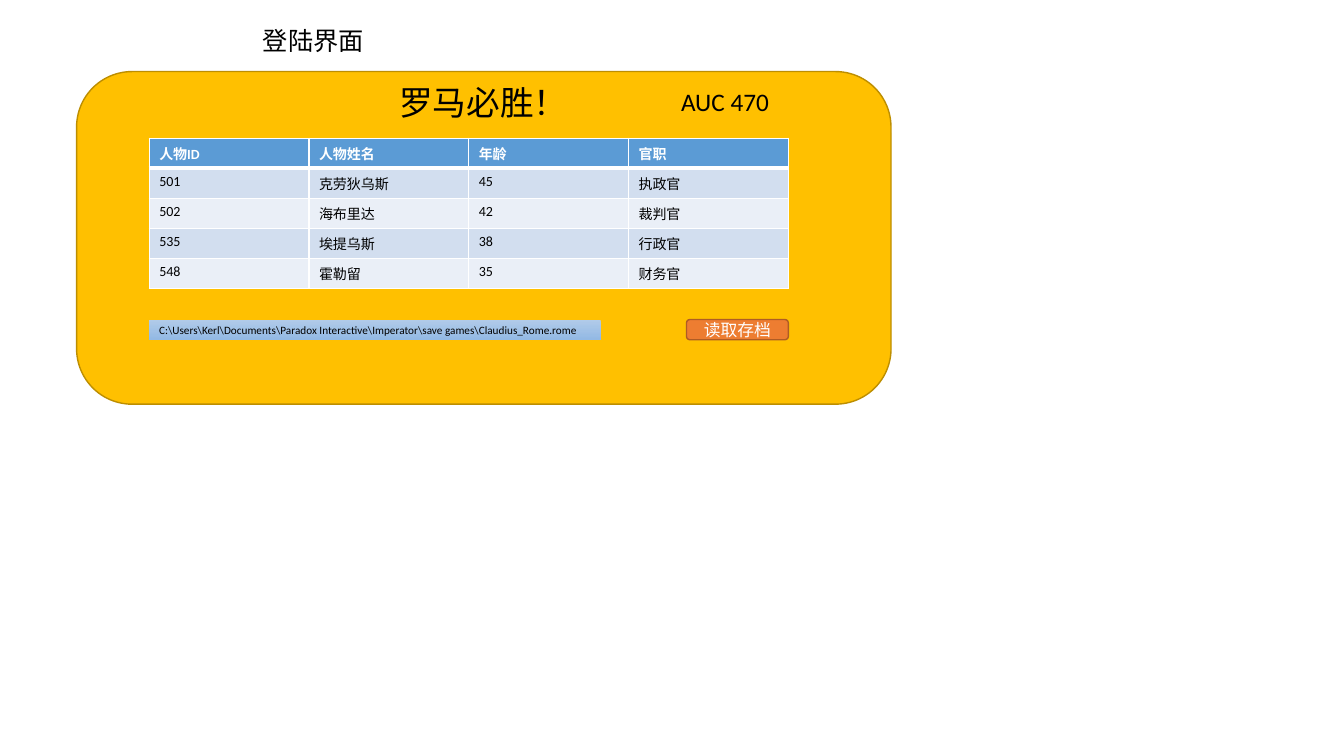
from lxml import etree
from pptx import Presentation
from pptx.dml.color import RGBColor
from pptx.enum.shapes import MSO_SHAPE
from pptx.enum.text import MSO_ANCHOR, MSO_AUTO_SIZE, PP_ALIGN
from pptx.oxml.ns import qn
from pptx.util import Inches, Pt

ROUND = MSO_SHAPE.ROUNDED_RECTANGLE
RECT = MSO_SHAPE.RECTANGLE
MIDDLE = MSO_ANCHOR.MIDDLE
GROW = MSO_AUTO_SIZE.SHAPE_TO_FIT_TEXT
LEFT = PP_ALIGN.LEFT
MID = PP_ALIGN.CENTER

HEX = {
    "gold": "FFC000", "rim": "BD8E00",
    "orange": "ED7D31", "rust": "AF5C24",
    "head": "5B9BD5", "odd": "D2DEEF", "even": "EAEFF7",
    "sky": "B1CBE9", "blue": "93B9E4",
    "black": "000000", "white": "FFFFFF",
}
RGB = {name: RGBColor.from_string(code) for name, code in HEX.items()}

deck = Presentation()
deck.slide_width, deck.slide_height = Inches(13.33), Inches(7.5)
slide = deck.slides.add_slide(deck.slide_layouts[6])
shapes = slide.shapes


def place(x, y, w, h):
    wide, high = deck.slide_width / 100, deck.slide_height / 100
    return int(x * wide), int(y * high), int(w * wide), int(h * high)


def write(frame, text, size, color="black", align=LEFT, bold=False):
    frame.text = text
    para = frame.paragraphs[0]
    para.alignment = align
    para.font.name = "Calibri"
    para.font.size = Pt(size)
    para.font.bold = bold
    para.font.color.rgb = RGB[color]


edge, span = 11.1, 47.56
bar_top, bar_high = 42.27, 2.67
button = 7.58

title = shapes.add_textbox(*place(18.83, 2.67, 9, 5.33)).text_frame
title.word_wrap = False
title.auto_size = GROW
write(title, "登陆界面", 18)

panels = [
    (ROUND, (5.7, 9.47, 60.6, 44), "gold", "rim", "", 18, "black", MID),
    (ROUND, (48.54, 11.47, 10.8, 4), None, None, "AUC 470", 18, "black", MID),
    (ROUND, (edge + span - button, bar_top, button, bar_high),
     "orange", "rust", "读取存档", 12, "white", MID),
    (RECT, (edge, bar_top, 33.6, bar_high), "sky", None,
     r"C:\Users\Kerl\Documents\Paradox Interactive\Imperator\save games\Claudius_Rome.rome",
     8, "black", LEFT),
]
for kind, area, fill, line, text, size, color, align in panels:
    panel = shapes.add_shape(kind, *place(*area))
    panel.shadow.inherit = False
    if fill == "sky":
        panel.fill.gradient()
        panel.fill.gradient_angle = 270
        for stop, shade in zip(panel.fill.gradient_stops, ("sky", "blue")):
            stop.color.rgb = RGB[shade]
    elif fill:
        panel.fill.solid()
        panel.fill.fore_color.rgb = RGB[fill]
    else:
        panel.fill.background()
    if line:
        panel.line.color.rgb = RGB[line]
        panel.line.width = Pt(1)
    else:
        panel.line.fill.background()
    if text:
        panel.text_frame.vertical_anchor = MIDDLE
        write(panel.text_frame, text, size, color, align)

rows = [
    ("人物ID", "人物姓名", "年龄", "官职"),
    ("501", "克劳狄乌斯", "45", "执政官"),
    ("502", "海布里达", "42", "裁判官"),
    ("535", "埃提乌斯", "38", "行政官"),
    ("548", "霍勒留", "35", "财务官"),
]
table = shapes.add_table(5, 4, *place(edge, 18.27, span, 19.87)).table
for r, row in enumerate(rows):
    tint = "head" if r == 0 else "odd" if r % 2 else "even"
    for c, text in enumerate(row):
        cell = table.cell(r, c)
        write(cell.text_frame, text, 10, "black" if r else "white", bold=r == 0)
        props = cell._tc.get_or_add_tcPr()
        for side in "LRTB":
            thick = 3 if (r, side) in ((0, "B"), (1, "T")) else 1
            rule = etree.SubElement(props, qn("a:ln" + side), w=str(Pt(thick)))
            paint = etree.SubElement(rule, qn("a:solidFill"))
            etree.SubElement(paint, qn("a:srgbClr"), val=HEX["white"])
        cell.fill.solid()
        cell.fill.fore_color.rgb = RGB[tint]

motto = shapes.add_textbox(*place(27.3, 10.13, 17.33, 6.67)).text_frame
motto.word_wrap = True
motto.auto_size = GROW
write(motto, "罗马必胜！", 24, align=MID)

deck.save("out.pptx")
